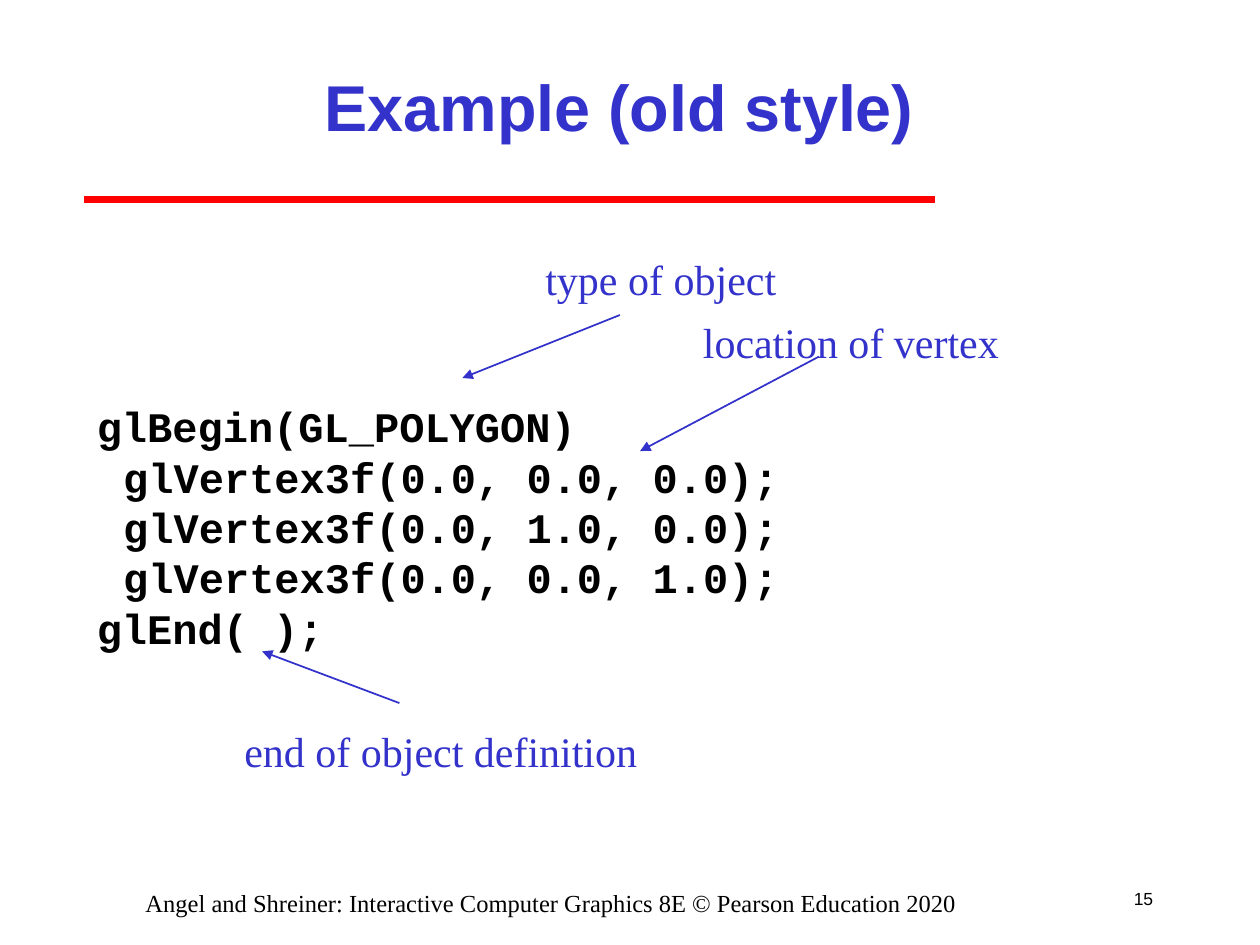
from pptx import Presentation
from pptx.dml.color import RGBColor
from pptx.enum.shapes import MSO_CONNECTOR
from pptx.enum.text import MSO_ANCHOR, PP_ALIGN
from pptx.oxml.ns import qn
from pptx.util import Inches, Pt
from lxml import etree

STRAIGHT = MSO_CONNECTOR.STRAIGHT
TOP, MIDDLE = MSO_ANCHOR.TOP, MSO_ANCHOR.MIDDLE
LEFT, CENTER, RIGHT = PP_ALIGN.LEFT, PP_ALIGN.CENTER, PP_ALIGN.RIGHT
BLUE, RED, BLACK = "3333CC", "FF0000", "000000"
SERIF = "Times New Roman"

CODE = [
    "glBegin(GL_POLYGON)",
    "\tglVertex3f(0.0, 0.0, 0.0);",
    "\tglVertex3f(0.0, 1.0, 0.0);",
    "\tglVertex3f(0.0, 0.0, 1.0);",
    "glEnd( );",
]
LABELS = [
    ("type of object", (4.23, 1.96, 2.03, 0.5)),
    ("location of vertex", (5.48, 2.46, 2.55, 0.5)),
    ("end of object definition", (1.84, 5.71, 3.32, 0.5)),
]
ARROWS = [
    ((4.92, 2.5), (3.67, 3)),
    ((6.5, 2.83), (5.08, 3.58)),
    ((3.17, 5.58), (2.08, 5.17)),
]


def color(value):
    """Turn a hex string into a colour."""
    return RGBColor.from_string(value)


def add_text(page, lines, at, *, font=SERIF, size=24, ink=BLACK, bold=False,
             align=LEFT, anchor=TOP, wrap=True, hanging=0, pitch=None, inset_top=0.05):
    """Add a text box with one paragraph per line."""
    frame = page.shapes.add_textbox(*map(Inches, at)).text_frame
    frame.word_wrap = wrap
    frame.vertical_anchor = anchor
    frame.margin_top = Inches(inset_top)
    for index, line in enumerate(lines):
        para = frame.paragraphs[0] if index == 0 else frame.add_paragraph()
        para.alignment = align
        if pitch:
            para.line_spacing = Pt(pitch)
        if hanging:
            properties = para._p.get_or_add_pPr()
            properties.set("marL", str(Inches(hanging)))
            properties.set("indent", str(-Inches(hanging)))
        span = para.add_run()
        span.text = line
        span.font.name = font
        span.font.size = Pt(size)
        span.font.bold = bold
        span.font.color.rgb = color(ink)


def add_line(page, start, end, *, ink, width, arrow=False):
    """Add a straight line, with an arrowhead at its end on request."""
    connector = page.shapes.add_connector(STRAIGHT, *map(Inches, start + end))
    connector.line.color.rgb = color(ink)
    connector.line.width = Pt(width)
    if arrow:
        head = etree.SubElement(connector.line._get_or_add_ln(), qn("a:tailEnd"))
        head.set("type", "triangle")
    etree.SubElement(connector._element.spPr, qn("a:effectLst"))


def main():
    """Build the slide and save the deck."""
    deck = Presentation()
    deck.slide_width, deck.slide_height = Inches(10), Inches(7.5)
    page = deck.slides.add_slide(deck.slide_layouts[6])

    add_line(page, (0.67, 1.58), (7.42, 1.58), ink=RED, width=4)
    add_text(page, ["15"], (8.83, 6.92, 0.42, 0.42), font="Arial", size=10,
             align=RIGHT, anchor=MIDDLE)
    add_text(page, ["Example (old style)"], (1.5, 0.25, 6.83, 1.17), font="Arial",
             size=37, ink=BLUE, bold=True, align=CENTER, anchor=MIDDLE)
    add_text(page, CODE, (0.67, 3.08, 8.5, 2.33), font="Courier New", bold=True,
             hanging=0.21, pitch=28.8, inset_top=0.1)
    for label, at in LABELS:
        add_text(page, [label], at, ink=BLUE, wrap=False)
    for start, end in ARROWS:
        add_line(page, start, end, ink=BLUE, width=1, arrow=True)
    add_text(page,
             ["Angel and Shreiner: Interactive Computer Graphics 8E © Pearson Education 2020"],
             (0.5, 7, 7.75, 0.25), size=14, align=CENTER)

    deck.save("out.pptx")


if __name__ == "__main__":
    main()
